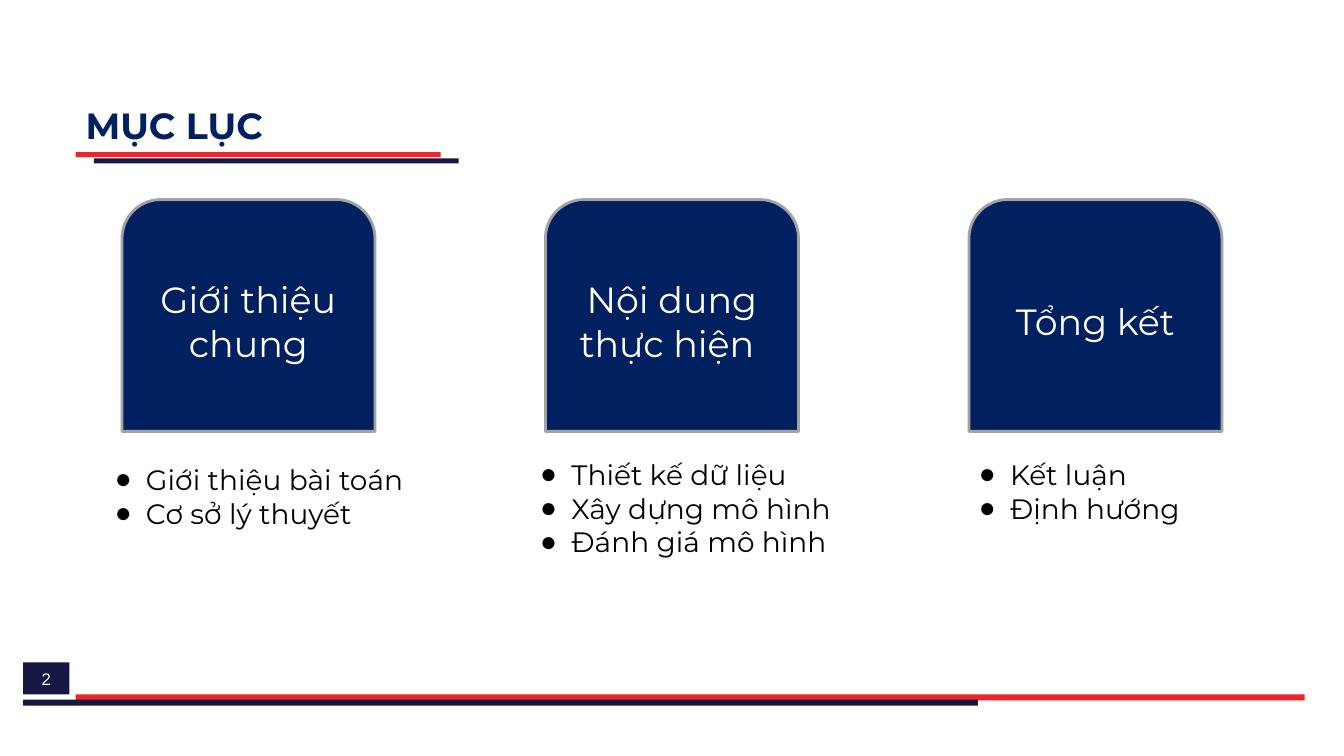
from dataclasses import dataclass

from lxml import etree
from pptx import Presentation
from pptx import util as u
from pptx.dml.color import RGBColor
from pptx.enum import shapes, text
from pptx.oxml import ns

EMU_PER_PX = 9144


@dataclass(frozen=True)
class Theme:
    navy: str = "002060"
    ink: str = "141842"
    red: str = "ED2429"
    grey: str = "A3A3A3"
    white: str = "FFFFFF"
    black: str = "000000"
    heading_font: str = "Montserrat"
    number_font: str = "Arial"
    heading_size: int = 26
    item_size: int = 20
    number_size: int = 12


THEME = Theme()


def px(length):
    return u.Emu(length * EMU_PER_PX)


def set_attributes(target, values):
    for name, value in values.items():
        setattr(target, name, value)


def add_block(slide, box, fill, preset=shapes.MSO_SHAPE.RECTANGLE):
    block = slide.shapes.add_shape(preset, *map(px, box))
    block.shadow.inherit = False
    block.fill.solid()
    block.fill.fore_color.rgb = RGBColor.from_string(fill)
    block.line.fill.background()
    return block


def write(paragraph, words, size, color, font=THEME.heading_font, bold=False):
    run = paragraph.add_run()
    run.text = words
    set_attributes(run.font, {"name": font, "size": u.Pt(size), "bold": bold})
    run.font.color.rgb = RGBColor.from_string(color)


def write_centred(block, words, size, font=THEME.heading_font):
    set_attributes(block.text_frame, {
        "word_wrap": True, "vertical_anchor": text.MSO_ANCHOR.MIDDLE})
    paragraph = block.text_frame.paragraphs[0]
    paragraph.alignment = text.PP_ALIGN.CENTER
    write(paragraph, words, size, THEME.white, font)


def add_text_frame(slide, box):
    frame = slide.shapes.add_textbox(*map(px, box)).text_frame
    set_attributes(frame, {
        "word_wrap": True, "auto_size": text.MSO_AUTO_SIZE.SHAPE_TO_FIT_TEXT})
    return frame


def add_bullet(paragraph):
    properties = paragraph._p.get_or_add_pPr()
    indent = px(31)
    properties.set("marL", str(indent))
    properties.set("indent", str(-indent))
    color = etree.SubElement(properties, ns.qn("a:buClr"))
    etree.SubElement(color, ns.qn("a:srgbClr"), val=THEME.black)
    etree.SubElement(properties, ns.qn("a:buFont"), typeface=THEME.number_font)
    etree.SubElement(properties, ns.qn("a:buChar"), char="●")


def add_heading(slide, box, words):
    left, top, width, height = box
    underline_width = 362
    add_block(slide, (left, top + height, underline_width, 5), THEME.red)
    add_block(slide, (left + 18, top + height + 6, underline_width, 5), THEME.ink)
    frame = add_text_frame(slide, box)
    write(frame.paragraphs[0], words, THEME.heading_size, THEME.navy, bold=True)


def add_chapter(slide, box, title):
    card = add_block(slide, box, THEME.navy, shapes.MSO_SHAPE.ROUND_2_SAME_RECTANGLE)
    card.line.color.rgb = RGBColor.from_string(THEME.grey)
    card.line.width = u.Pt(2)
    write_centred(card, title, THEME.heading_size)


def add_topics(slide, box, topics):
    frame = add_text_frame(slide, box)
    for index, topic in enumerate(topics):
        paragraph = frame.add_paragraph() if index else frame.paragraphs[0]
        add_bullet(paragraph)
        write(paragraph, topic, THEME.item_size, THEME.black)


def add_footer(slide, box, number):
    left, top, width, height = box
    badge = add_block(slide, (left, top, 46, 32), THEME.ink)
    set_attributes(badge.text_frame, dict.fromkeys(
        ("margin_left", "margin_right", "margin_top", "margin_bottom"), 0))
    write_centred(badge, number, THEME.number_size, THEME.number_font)
    add_block(slide, (left + 52, top + 32, width - 52, 6), THEME.red)
    add_block(slide, (left, top + height - 6, 947, 6), THEME.ink)


def add_contents(slide, box, chapters):
    left, top, width, height = box
    card_width = 251
    step = (width - card_width) // (len(chapters) - 1)
    for index, (title, topics, topics_box) in enumerate(chapters):
        card_left = left + index * step
        shift, gap, topics_width, topics_height = topics_box
        add_chapter(slide, (card_left, top, card_width, height), title)
        add_topics(slide, (card_left + shift, top + height + gap,
                           topics_width, topics_height), topics)


def main():
    deck = Presentation()
    set_attributes(deck, {"slide_width": px(1333), "slide_height": px(750)})
    slide = deck.slides.add_slide(deck.slide_layouts[6])
    chapters = [
        ("Giới thiệu chung",
         ["Giới thiệu bài toán", "Cơ sở lý thuyết"], (-17, 26, 316, 77)),
        ("Nội dung thực hiện ",
         ["Thiết kế dữ liệu", "Xây dựng mô hình", "Đánh giá mô hình"],
         (-15, 21, 337, 111)),
        ("Tổng kết", ["Kết luận", "Định hướng"], (0, 21, 276, 77)),
    ]
    add_footer(slide, (23, 657, 1271, 43), "2")
    add_heading(slide, (75, 97, 768, 54), "MỤC LỤC")
    add_contents(slide, (121, 198, 1091, 230), chapters)
    deck.save("out.pptx")


if __name__ == "__main__":
    main()
